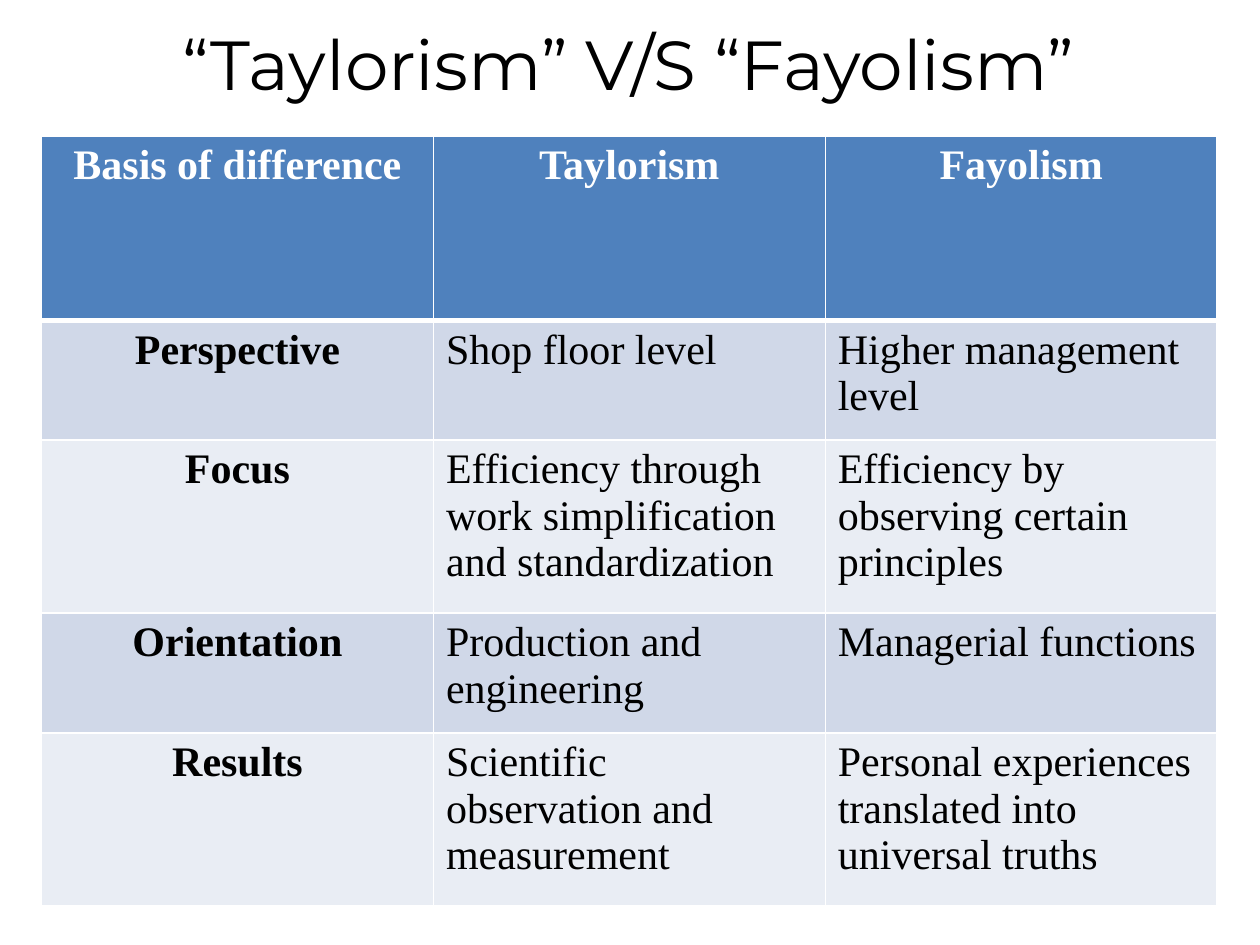
import pptx
import pptx.dml.color
import pptx.enum.text
import pptx.oxml
import pptx.oxml.ns
import pptx.util

Inches = pptx.util.Inches
RGBColor = pptx.dml.color.RGBColor
ALIGN = pptx.enum.text.PP_ALIGN

WHITE = RGBColor(0xFF, 0xFF, 0xFF)
BLACK = RGBColor(0x00, 0x00, 0x00)
BLUE = RGBColor(0x4F, 0x81, 0xBD)
BANDS = (RGBColor(0xD0, 0xD8, 0xE8), RGBColor(0xE9, 0xED, 0xF4))

HEIGHTS = (1.46, 0.95, 1.37, 0.95, 1.37)
ROWS = (
    ("Basis of difference", "Taylorism", "Fayolism"),
    ("Perspective", "Shop floor level", "Higher management level"),
    ("Focus", "Efficiency through work simplification and standardization",
     "Efficiency by observing certain principles"),
    ("Orientation", "Production and engineering", "Managerial functions"),
    ("Results", "Scientific observation and measurement",
     "Personal experiences translated into universal truths"),
)


def write(frame, text, size=24, face="Times New Roman", color=BLACK,
          bold=False, align=ALIGN.LEFT):
    """Put one formatted paragraph into a text frame."""
    para = frame.paragraphs[0]
    para.alignment = align
    run = para.add_run()
    run.text = text
    run.font.size = pptx.util.Pt(size)
    run.font.name = face
    run.font.color.rgb = color
    run.font.bold = bold


def edge(cell, **widths):
    """Draw white cell borders with the given widths in points."""
    props = cell._tc.get_or_add_tcPr()
    for place, side in enumerate("LRTB"):
        width = pptx.util.Pt(widths.get(side, 1))
        props.insert(place, pptx.oxml.parse_xml(
            f'<a:ln{side} {pptx.oxml.ns.nsdecls("a")} w="{width}"><a:solidFill>'
            f'<a:srgbClr val="{WHITE}"/></a:solidFill></a:ln{side}>'))


def head(slide, left, top, width, height):
    """Place and format the slide title."""
    title = slide.shapes.title
    title.left, title.top = Inches(left), Inches(top)
    title.width, title.height = Inches(width), Inches(height)
    title.text_frame.vertical_anchor = pptx.enum.text.MSO_ANCHOR.MIDDLE
    write(title.text_frame, " “Taylorism” V/S “Fayolism”", size=39.6,
          face="Montserrat", align=ALIGN.CENTER)


def grid(slide, left, top, width, height):
    """Build the table that compares the two schools."""
    table = slide.shapes.add_table(
        len(ROWS), len(ROWS[0]), Inches(left), Inches(top),
        Inches(width), Inches(height)).table
    for r, texts in enumerate(ROWS):
        table.rows[r].height = Inches(height * HEIGHTS[r] / sum(HEIGHTS))
        for c, text in enumerate(texts):
            cell = table.cell(r, c)
            first = r == 0
            label = first or c == 0
            cell.fill.solid()
            cell.fill.fore_color.rgb = BLUE if first else BANDS[(r - 1) % 2]
            write(cell.text_frame, text, color=WHITE if first else BLACK,
                  bold=label, align=ALIGN.CENTER if label else ALIGN.LEFT)
            edge(cell, B=3 if first else 1, T=3 if r == 1 else 1)


def main():
    """Build and save the slide."""
    deck = pptx.Presentation()
    deck.slide_width, deck.slide_height = Inches(10), Inches(7.5)
    slide = deck.slides.add_slide(deck.slide_layouts[5])
    head(slide, 0.5, 0, 8.83, 1)
    grid(slide, 0.33, 1.08, 9.33, 6.11)
    deck.save("out.pptx")


if __name__ == "__main__":
    main()
